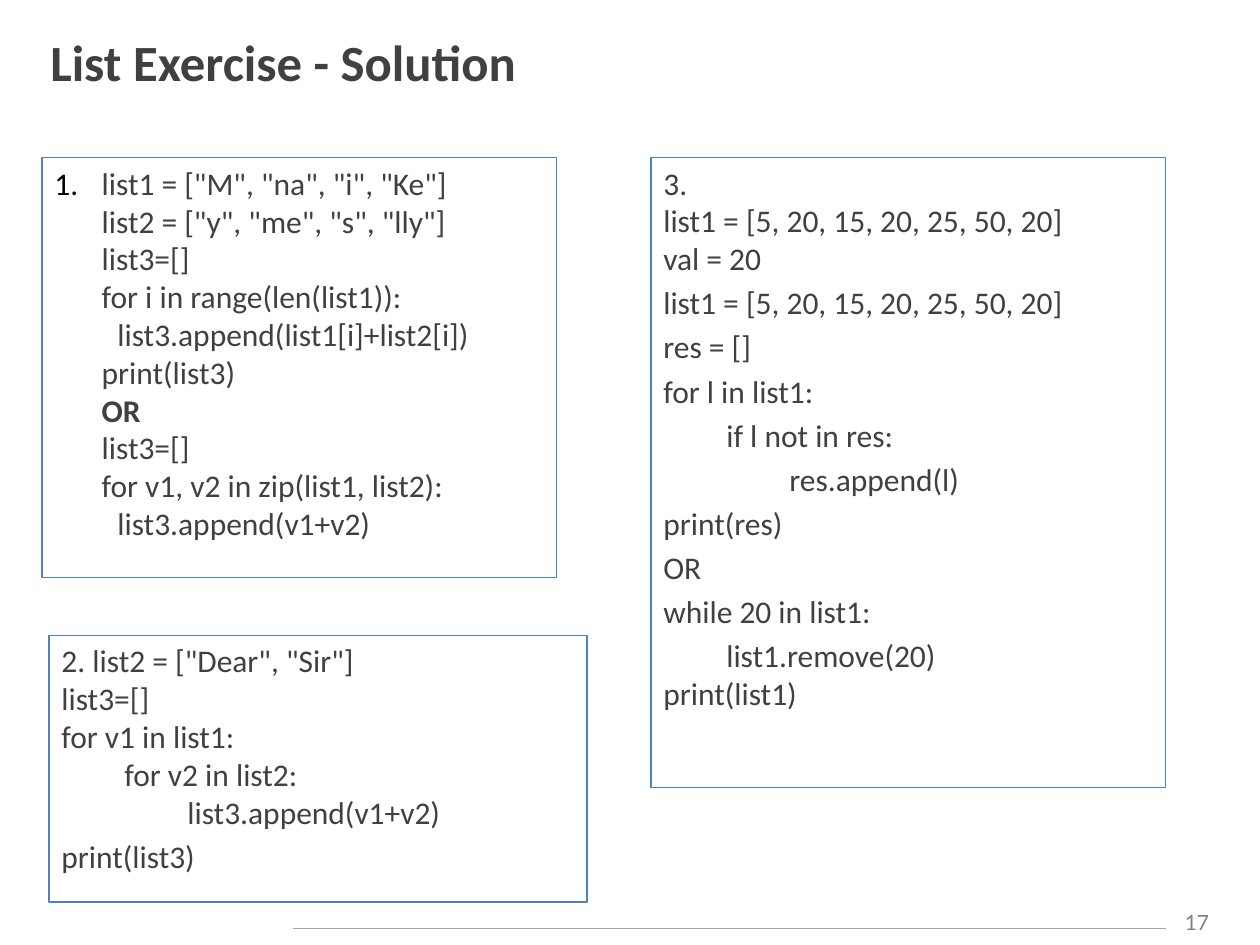
from lxml import etree
from pptx import Presentation
from pptx.dml.color import RGBColor
from pptx.enum import shapes, text
from pptx.oxml import ns
from pptx.util import Pt

THEME = {
    "font": "Calibri", "number_font": "Lato",
    "title_size": 29, "code_size": 18, "number_size": 12,
    "ink": "404040", "border": "4F81BD", "rule": "A6A6A6",
    "number": "808080", "bullet": "000000",
    "line_width": 0.75, "space_before": 3.6,
}
TITLE = "List Exercise - Solution"
PAGE_NUMBER = "17"
TOP, RIGHT, COLUMN_WIDTH = 90, 666, 294
HANGING_INDENT = 27

# Each paragraph is a list of lines.
ZIP_LISTS = [[
    'list1 = ["M", "na", "i", "Ke"]',
    'list2 = ["y", "me", "s", "lly"]',
    "list3=[]",
    "for i in range(len(list1)):",
    "\tlist3.append(list1[i]+list2[i])",
    "print(list3)",
    "OR",
    "list3=[]",
    "for v1, v2 in zip(list1, list2):",
    "\tlist3.append(v1+v2)",
]]
COMBINE_LISTS = [
    ['2. list2 = ["Dear", "Sir"]',
     "list3=[]",
     "for v1 in list1:",
     "\tfor v2 in list2:",
     "\t\tlist3.append(v1+v2)"],
    ["print(list3)"],
]
REMOVE_VALUE = [
    ["3. ", "list1 = [5, 20, 15, 20, 25, 50, 20] ", "val = 20"],
    ["list1 = [5, 20, 15, 20, 25, 50, 20]"],
    ["res = []"],
    ["for l in list1:"],
    ["\tif l not in res:"],
    ["\t\tres.append(l)"],
    ["print(res)"],
    ["OR"],
    ["while 20 in list1:"],
    ["\tlist1.remove(20)", "print(list1)"],
]
# left, top, width, height, paragraphs, numbered (its OR is bold too)
BOXES = [
    (24, TOP, COLUMN_WIDTH, 240, ZIP_LISTS, True),
    (28, 363, 307.5, 152.5, COMBINE_LISTS, False),
    (RIGHT - COLUMN_WIDTH, TOP, COLUMN_WIDTH, 360, REMOVE_VALUE, False),
]


def color(name):
    return RGBColor.from_string(THEME[name])


def style(paragraph, size, ink="ink", font="font", bold=False):
    paragraph.font.name = THEME[font]
    paragraph.font.size = Pt(THEME[size])
    paragraph.font.bold = bold
    paragraph.font.color.rgb = color(ink)


def number_paragraph(paragraph):
    """Give the paragraph an automatic number and a hanging indent."""
    properties = paragraph._p.get_or_add_pPr()
    properties.set("marL", str(Pt(HANGING_INDENT)))
    properties.set("indent", str(-Pt(HANGING_INDENT)))
    bullet_color = etree.SubElement(properties, ns.qn("a:buClr"))
    etree.SubElement(bullet_color, ns.qn("a:srgbClr"), val=THEME["bullet"])
    etree.SubElement(properties, ns.qn("a:buAutoNum"), type="arabicPeriod")


def add_code_box(slide, left, top, width, height, paragraphs, numbered):
    box = slide.shapes.add_shape(
        shapes.MSO_SHAPE.RECTANGLE, Pt(left), Pt(top), Pt(width), Pt(height))
    box.shadow.inherit = False
    box.fill.background()
    box.line.color.rgb = color("border")
    box.line.width = Pt(THEME["line_width"])
    frame = box.text_frame
    frame.word_wrap = True
    frame.vertical_anchor = text.MSO_ANCHOR.TOP
    for index, lines in enumerate(paragraphs):
        paragraph = frame.add_paragraph() if index else frame.paragraphs[0]
        paragraph.alignment = text.PP_ALIGN.LEFT
        paragraph.space_before = Pt(THEME["space_before"])
        if numbered:
            number_paragraph(paragraph)
        style(paragraph, "code_size")
        for position, line in enumerate(lines):
            if position:
                paragraph.add_line_break()
            run = paragraph.add_run()
            run.text = line
            if numbered and line == "OR":
                run.font.bold = True


def add_title(slide):
    title = slide.shapes.title
    title.left, title.top, title.width, title.height = (
        Pt(21.6), Pt(12.2), Pt(674), Pt(45.4))
    title.text_frame.text = TITLE
    title.text_frame.vertical_anchor = text.MSO_ANCHOR.MIDDLE
    paragraph = title.text_frame.paragraphs[0]
    paragraph.alignment = text.PP_ALIGN.LEFT
    style(paragraph, "title_size", bold=True)


def add_footer(slide):
    number = slide.shapes.add_textbox(Pt(RIGHT), Pt(516.2), Pt(36), Pt(21.6))
    number.text_frame.word_wrap = True
    paragraph = number.text_frame.paragraphs[0]
    paragraph.text = PAGE_NUMBER
    paragraph.alignment = text.PP_ALIGN.CENTER
    style(paragraph, "number_size", "number", "number_font")
    rule = slide.shapes.add_connector(
        shapes.MSO_CONNECTOR.STRAIGHT, Pt(167.5), Pt(530.6), Pt(RIGHT), Pt(530.6))
    rule.line.color.rgb = color("rule")
    rule.line.width = Pt(THEME["line_width"])
    etree.SubElement(rule._element.spPr, ns.qn("a:effectLst"))


def main():
    presentation = Presentation()
    presentation.slide_width, presentation.slide_height = Pt(720), Pt(540)
    slide = presentation.slides.add_slide(presentation.slide_layouts[5])
    add_footer(slide)
    add_title(slide)
    for box in BOXES:
        add_code_box(slide, *box)
    presentation.save("out.pptx")


if __name__ == "__main__":
    main()
